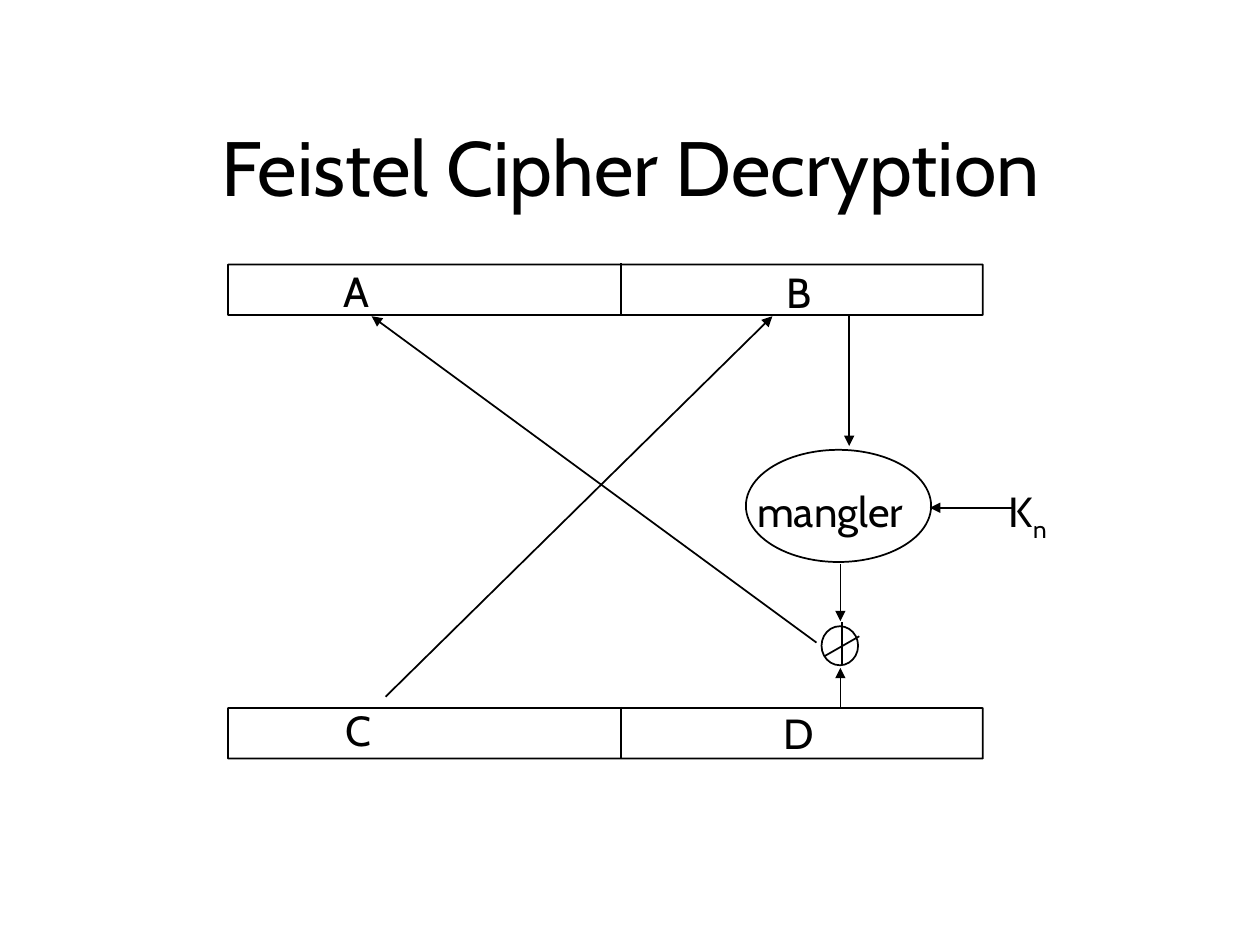
import pptx
import pptx.util
import pptx.dml.color
import pptx.enum.shapes
import pptx.enum.text
import pptx.oxml.ns
from lxml import etree

Inches = pptx.util.Inches
Shape = pptx.enum.shapes.MSO_SHAPE
BLACK = pptx.dml.color.RGBColor(0x00, 0x00, 0x00)

presentation = pptx.Presentation()
presentation.slide_width = Inches(10)
presentation.slide_height = Inches(7.5)
slide = presentation.slides.add_slide(presentation.slide_layouts[6])


def add_text(text, left, top, width, height, size=24):
    text_box = slide.shapes.add_textbox(
        Inches(left), Inches(top), Inches(width), Inches(height))
    text_frame = text_box.text_frame
    text_frame.word_wrap = False
    text_frame.text = text
    paragraph = text_frame.paragraphs[0]
    paragraph.line_spacing = 1.01
    font = paragraph.runs[0].font
    font.name = "Cabin"
    font.size = pptx.util.Pt(size)
    font.color.rgb = BLACK
    return text_frame


def add_line(start_x, start_y, end_x, end_y, arrow=False):
    connector = slide.shapes.add_connector(
        pptx.enum.shapes.MSO_CONNECTOR.STRAIGHT,
        Inches(start_x), Inches(start_y), Inches(end_x), Inches(end_y))
    connector.line.color.rgb = BLACK
    connector.line.width = pptx.util.Pt(1)
    if arrow:
        line_element = connector.line._get_or_add_ln()
        etree.SubElement(line_element, pptx.oxml.ns.qn("a:tailEnd"), type="triangle")
    etree.SubElement(connector._element.spPr, pptx.oxml.ns.qn("a:effectLst"))


title = add_text("Feistel Cipher Decryption", 0.81, 0.7, 8.39, 1.23, size=44)
title.word_wrap = True
title.vertical_anchor = pptx.enum.text.MSO_ANCHOR.MIDDLE
title.paragraphs[0].alignment = pptx.enum.text.PP_ALIGN.CENTER

# Outlines: input register, output register, mangler, XOR node
for kind, left, top, width, height in [
    (Shape.ROUNDED_RECTANGLE, 1.81, 2.1, 5.99, 0.4),
    (Shape.ROUNDED_RECTANGLE, 1.81, 5.62, 5.99, 0.4),
    (Shape.OVAL, 5.92, 3.57, 1.47, 0.89),
    (Shape.OVAL, 6.52, 4.97, 0.29, 0.31),
]:
    shape = slide.shapes.add_shape(
        kind, Inches(left), Inches(top), Inches(width), Inches(height))
    shape.shadow.inherit = False
    shape.fill.background()
    shape.line.color.rgb = BLACK
    shape.line.width = pptx.util.Pt(1)
    if kind == Shape.ROUNDED_RECTANGLE:
        shape.adjustments[0] = 0.004
        add_line(4.93, top - 0.01, 4.93, top + height)

# Strokes of the XOR node
add_line(6.68, 4.94, 6.68, 5.27)
add_line(6.54, 5.21, 6.82, 5.05)

for text, left, top, width in [
    ("A", 2.63, 2.05, 0.42),
    ("B", 6.14, 2.06, 0.42),
    ("C", 2.64, 5.54, 0.41),
    ("D", 6.12, 5.56, 0.45),
    ("mangler", 5.91, 3.8, 1.52),
]:
    add_text(text, left, top, width, 0.51)

key_paragraph = add_text("K", 7.91, 3.8, 0.53, 0.56).paragraphs[0]
subscript = key_paragraph.add_run()
subscript.text = "n"
subscript.font.name = "Cabin"
subscript.font.size = pptx.util.Pt(24)
subscript.font.color.rgb = BLACK
subscript.font._element.set("baseline", "-25000")

for start_x, start_y, end_x, end_y in [
    (3.06, 5.53, 6.13, 2.51),  # C to B
    (6.74, 2.51, 6.74, 3.54),  # B to mangler
    (8.03, 4.03, 7.38, 4.03),  # key to mangler
    (6.67, 4.48, 6.67, 4.93),  # mangler to XOR
    (6.48, 5.1, 2.95, 2.51),   # XOR to A
    (6.67, 5.61, 6.67, 5.3),   # D to XOR
]:
    add_line(start_x, start_y, end_x, end_y, arrow=True)

presentation.save("out.pptx")
